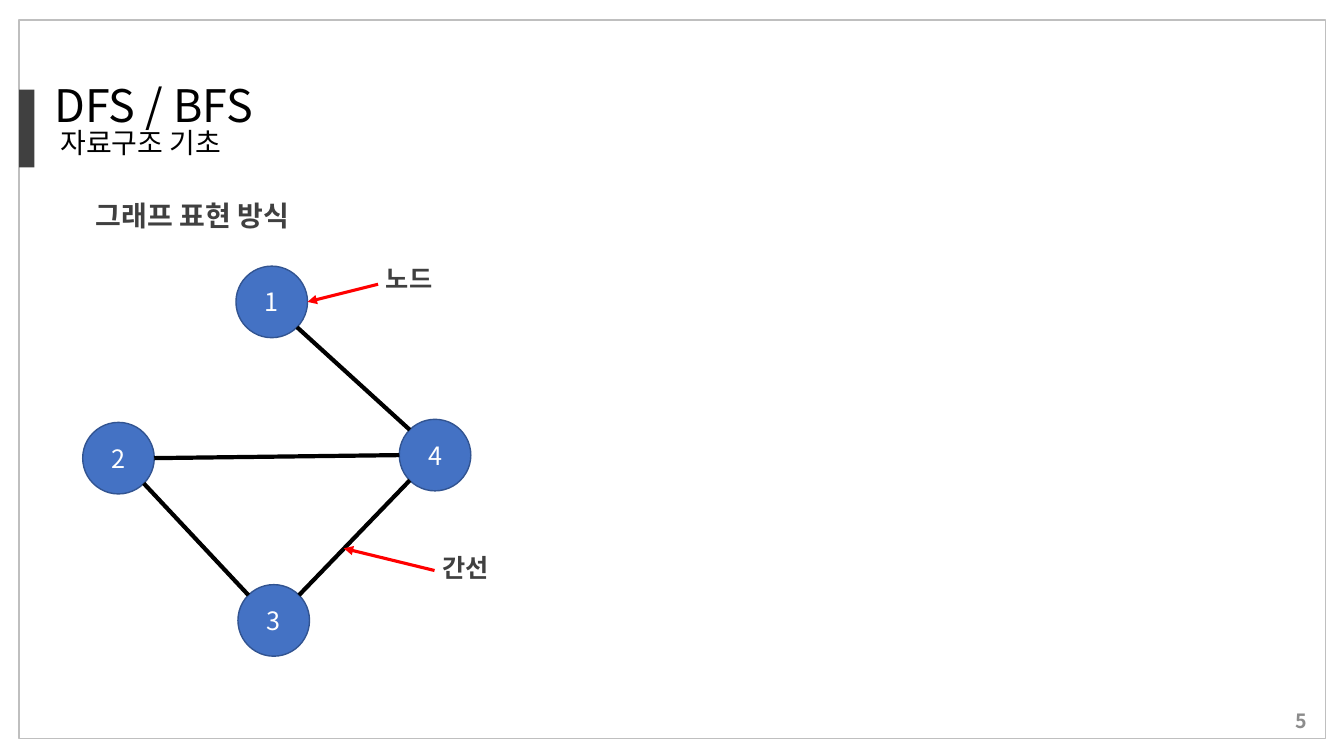
from dataclasses import dataclass
from math import sqrt

from pptx import Presentation
from pptx.dml.color import RGBColor
from pptx.enum.shapes import MSO_CONNECTOR as Conn, MSO_SHAPE as Form
from pptx.enum.text import MSO_ANCHOR as Anchor, PP_ALIGN as Align
from pptx.oxml.ns import qn
from pptx.shapes.autoshape import Shape
from pptx.shapes.connector import Connector
from pptx.shapes.shapetree import GroupShapes, SlideShapes
from pptx.text.text import TextFrame, _Paragraph as Para
from pptx.util import Emu, Pt
from lxml.etree import SubElement

SCALE = 9144  # EMU in one px, 100 px to the inch
Tree = SlideShapes | GroupShapes
Point = tuple[float, float]


@dataclass(frozen=True)
class Theme:
    font: str = "Noto Sans CJK KR"
    black: str = "000000"
    dark: str = "404040"
    frame: str = "BFBFBF"
    grey: str = "8C8C8C"
    white: str = "FFFFFF"
    node: str = "4472C4"
    rim: str = "325491"
    red: str = "FF0000"
    title: int = 32
    head: int = 20
    body: int = 18
    page: int = 14


@dataclass(frozen=True)
class Box:
    left: int
    top: int
    width: int
    height: int


@dataclass(frozen=True)
class Node:
    name: str
    left: int
    top: int

    def site(self, across: int, down: int) -> Point:
        """Point on the rim in the given direction, each part -1, 0 or 1."""
        reach = SIZE / 2 / sqrt(across**2 + down**2)
        return (self.left + SIZE / 2 + across * reach,
                self.top + SIZE / 2 + down * reach)


@dataclass(frozen=True)
class Label:
    text: str
    box: Box
    size: int


@dataclass(frozen=True)
class Edge:
    start: Point
    end: Point


THEME = Theme()
SIZE = 71
ONE, THREE = Node("1", 234, 264), Node("3", 236, 580)
TWO, FOUR = Node("2", 82, 419), Node("4", 396, 416)
NODES = (ONE, THREE, TWO, FOUR)
EDGES = (
    Edge(ONE.site(1, 1), FOUR.site(-1, -1)),
    Edge(THREE.site(-1, -1), TWO.site(1, 1)),
    Edge(THREE.site(1, -1), FOUR.site(-1, 1)),
    Edge(FOUR.site(-1, 0), TWO.site(1, 0)),
)
ARROWS = (
    Edge((375, 282), ONE.site(1, 0)),
    Edge((431, 566), (341, 544)),
)
LABELS = (
    Label("그래프 표현 방식", Box(85, 196, 512, 44), THEME.head),
    Label("노드", Box(373, 260, 94, 40), THEME.body),
    Label("간선", Box(429, 546, 94, 40), THEME.body),
)


def px(value: float) -> Emu:
    return Emu(round(value * SCALE))


def rgb(code: str) -> RGBColor:
    return RGBColor.from_string(code)


def place(box: Box) -> tuple[Emu, Emu, Emu, Emu]:
    return px(box.left), px(box.top), px(box.width), px(box.height)


def write(para: Para, text: str, size: int, color: str, bold: bool = False) -> None:
    run = para.add_run()
    run.text = text
    font = run.font
    font.name, font.size, font.bold = THEME.font, Pt(size), bold
    font.color.rgb = rgb(color)
    SubElement(run._r.get_or_add_rPr(), qn("a:ea"), typeface=THEME.font)


def shape(tree: Tree, form: Form, box: Box, fill: str = "", line: str = "") -> Shape:
    """Preset shape; an empty colour means no fill or no line."""
    item = tree.add_shape(form, *place(box))
    item.shadow.inherit = False
    if fill:
        item.fill.solid()
        item.fill.fore_color.rgb = rgb(fill)
    else:
        item.fill.background()
    if line:
        item.line.color.rgb = rgb(line)
        item.line.width = Pt(1)
    else:
        item.line.fill.background()
    return item


def frame(tree: Tree, box: Box, anchor: Anchor = Anchor.TOP) -> TextFrame:
    body = tree.add_textbox(*place(box)).text_frame
    body.word_wrap = True
    body.vertical_anchor = anchor
    return body


def link(tree: Tree, edge: Edge, color: str, width: float) -> Connector:
    ends = (px(part) for part in edge.start + edge.end)
    item = tree.add_connector(Conn.STRAIGHT, *ends)
    item.line.color.rgb = rgb(color)
    item.line.width = Pt(width)
    SubElement(item._element.spPr, qn("a:effectLst"))
    return item


def arrow(tree: Tree, edge: Edge) -> None:
    line = link(tree, edge, THEME.red, 2.25).line
    SubElement(line._get_or_add_ln(), qn("a:tailEnd"), type="triangle")


def circle(tree: Tree, node: Node) -> None:
    box = Box(node.left, node.top, SIZE, SIZE)
    body = shape(tree, Form.OVAL, box, THEME.node, THEME.rim).text_frame
    body.vertical_anchor = Anchor.MIDDLE
    para = body.paragraphs[0]
    para.alignment = Align.CENTER
    write(para, node.name, THEME.body, THEME.white)


def label(tree: Tree, item: Label) -> None:
    para = frame(tree, item.box).paragraphs[0]
    para.line_spacing = 0.9
    write(para, item.text, item.size, THEME.dark, True)


def title(tree: Tree) -> None:
    body = frame(tree, Box(44, 78, 775, 98))
    top = body.paragraphs[0]
    top.line_spacing = 0.9
    write(top, "DFS / BFS", THEME.title, THEME.black)
    sub = body.add_paragraph()
    sub.line_spacing = 0.8
    sub._p.get_or_add_pPr().set("marL", str(px(6)))
    write(sub, "자료구조 기초", THEME.head, THEME.black)


def page(tree: Tree) -> None:
    para = frame(tree, Box(1006, 695, 300, 40), Anchor.MIDDLE).paragraphs[0]
    para.alignment = Align.RIGHT
    write(para, "5", THEME.page, THEME.grey, True)


def main() -> None:
    deck = Presentation()
    deck.slide_width, deck.slide_height = px(1333), px(750)
    tree = deck.slides.add_slide(deck.slide_layouts[6]).shapes
    shape(tree, Form.RECTANGLE, Box(19, 20, 1296, 713), line=THEME.frame)
    shape(tree, Form.RECTANGLE, Box(19, 89, 15, 77), fill=THEME.dark)
    page(tree)
    title(tree)
    graph = tree.add_group_shape().shapes
    for node in NODES:
        circle(graph, node)
    for edge in EDGES:
        link(graph, edge, THEME.black, 3)
    for edge in ARROWS:
        arrow(tree, edge)
    for item in LABELS:
        label(tree, item)
    deck.save("out.pptx")


if __name__ == "__main__":
    main()
